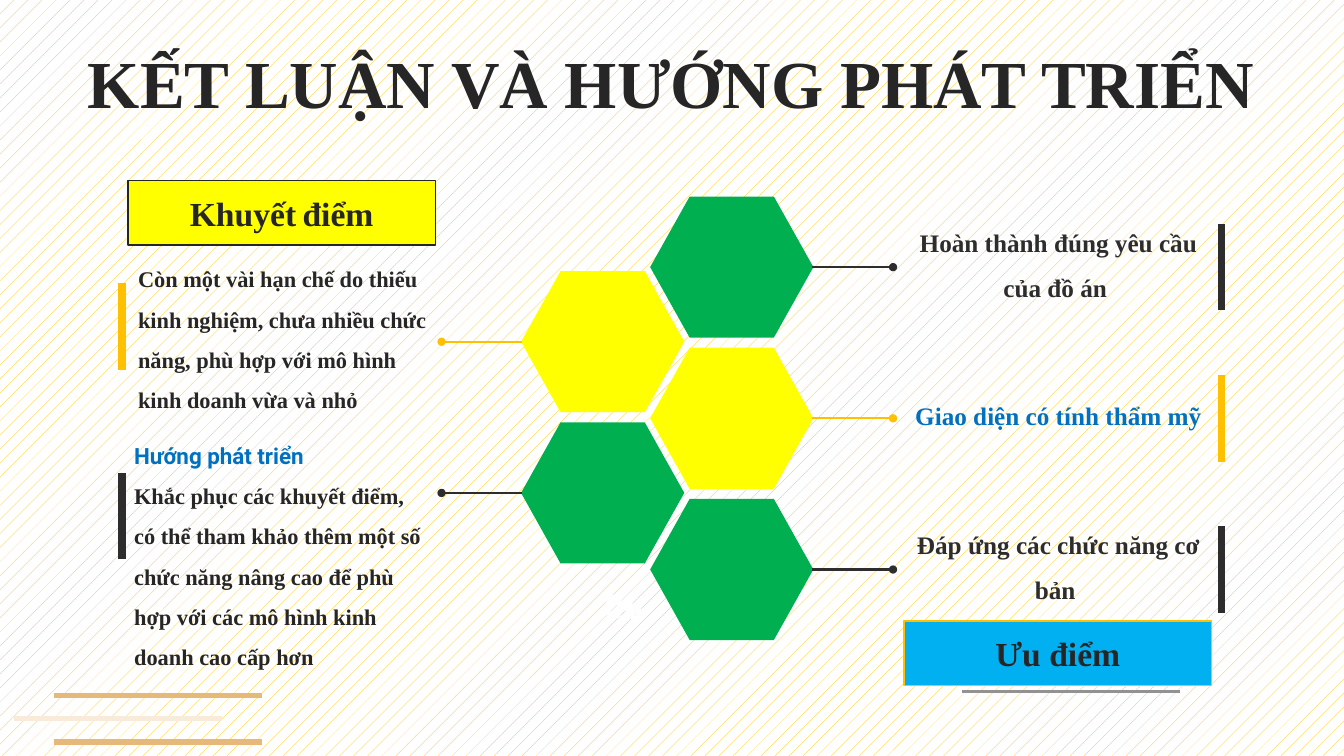
from lxml.etree import SubElement
from pptx import Presentation
from pptx.dml.color import RGBColor
from pptx.enum.dml import MSO_PATTERN
from pptx.enum.shapes import MSO_CONNECTOR, MSO_SHAPE
from pptx.enum.text import MSO_ANCHOR, PP_ALIGN
from pptx.oxml.ns import qn
from pptx.util import Pt

COLOURS = {
    "amber": "FFC000", "white": "FFFFFF", "ink": "262626", "charcoal": "2D2D2D",
    "yellow": "FFFF00", "green": "00B050", "blue": "0070C0", "sky": "00B0F0",
    "grey": "929292", "silver": "A6A6A6", "tan": "E6B87A", "cream": "F8EBDA",
}
SERIF = "Times New Roman"
SANS = "Roboto"
STEP = 108
HEXAGON_WIDTH, HEXAGON_HEIGHT = 116.6, 100.8
LEFT_COLUMN, RIGHT_COLUMN = 372.2, 464.4
LEFT_CENTRE, RIGHT_CENTRE = 244.1, 190.8
BAR_LENGTH = 62


def colour(name):
    return RGBColor.from_string(COLOURS[name])


def style(font, size, name, tint):
    font.size = Pt(size)
    font.name = name
    font.bold = True
    font.color.rgb = colour(tint)


def add_box(page, left, top, width, height, align=PP_ALIGN.LEFT):
    box = page.shapes.add_textbox(Pt(left), Pt(top), Pt(width), Pt(height))
    frame = box.text_frame
    frame.word_wrap = True
    frame.vertical_anchor = MSO_ANCHOR.MIDDLE
    frame.margin_left = frame.margin_right = frame.margin_top = frame.margin_bottom = 0
    para = frame.paragraphs[0]
    para.alignment = align
    return para


def add_label(page, place, text, size, name, tint):
    para = add_box(page, *place, PP_ALIGN.CENTER)
    style(para.font, size, name, tint)
    para.add_run().text = text
    return para


def add_span(para, text, size, name, tint):
    span = para.add_run()
    span.text = text
    style(span.font, size, name, tint)


def add_note(page, place, heading, heading_size, heading_tint, body):
    para = add_box(page, *place)
    para.line_spacing = 1.5
    para.space_after = Pt(12)
    if heading:
        add_span(para, heading, heading_size, SANS, heading_tint)
    else:
        style(para.font, heading_size, SANS, heading_tint)
    para.add_line_break()
    add_span(para, body, 16, SERIF, "ink")


def add_advantage(page, centre, height, text, tint):
    para = add_box(page, 650.9, centre - height / 2, 210.2, height, PP_ALIGN.CENTER)
    para.line_spacing = 1.5
    para.space_after = Pt(12)
    style(para.font, 12, SERIF, tint)
    add_span(para, text, 18, SERIF, tint)
    para.add_line_break()


def add_line(page, start, end, tint, weight, dot=False):
    line = page.shapes.add_connector(
        MSO_CONNECTOR.STRAIGHT, *(Pt(value) for value in (*start, *end)))
    line.line.color.rgb = colour(tint)
    line.line.width = Pt(weight)
    if dot:
        SubElement(line.line._get_or_add_ln(), qn("a:tailEnd"), type="oval")
    SubElement(line._element.spPr, qn("a:effectLst"))


def add_bar(page, x, centre, tint):
    add_line(page, (x, centre + BAR_LENGTH / 2), (x, centre - BAR_LENGTH / 2), tint, 5.5)


def add_hexagon(page, left, centre, tint):
    hexagon = page.shapes.add_shape(
        MSO_SHAPE.HEXAGON, Pt(left), Pt(centre - HEXAGON_HEIGHT / 2),
        Pt(HEXAGON_WIDTH), Pt(HEXAGON_HEIGHT))
    hexagon.adjustments[0] = 0.28
    hexagon.shadow.inherit = False
    hexagon.fill.solid()
    hexagon.fill.fore_color.rgb = colour(tint)
    hexagon.line.fill.background()


def add_banner(page, left, top, fill, outline, spans):
    banner = page.shapes.add_shape(
        MSO_SHAPE.FLOWCHART_PROCESS, Pt(left), Pt(top), Pt(219.6), Pt(46))
    banner.shadow.inherit = False
    banner.fill.solid()
    banner.fill.fore_color.rgb = colour(fill)
    banner.line.color.rgb = colour(outline)
    banner.line.width = Pt(1)
    banner.text_frame.vertical_anchor = MSO_ANCHOR.MIDDLE
    para = banner.text_frame.paragraphs[0]
    para.alignment = PP_ALIGN.CENTER
    for text, size in spans:
        add_span(para, text, size, SERIF, "ink")


def add_stripes(page, top):
    for row, (left, tint) in enumerate([(38.9, "tan"), (10.1, "cream"), (38.9, "tan")]):
        y = top + row * 16.6
        add_line(page, (left + 148.3, y), (left, y), tint, 2.25)


def main():
    deck = Presentation()
    deck.slide_width, deck.slide_height = Pt(960), Pt(540)
    page = deck.slides.add_slide(deck.slide_layouts[6])
    backdrop = page.background.fill
    backdrop.patterned()
    backdrop.pattern = MSO_PATTERN.PERCENT_5
    backdrop.fore_color.rgb = colour("amber")
    backdrop.back_color.rgb = colour("white")

    title = add_label(page, (40.3, 36, 878.4, 51.8),
                      "KẾT LUẬN VÀ HƯỚNG PHÁT TRIỂN", 48, SERIF, "ink")
    title.line_spacing = 0.9

    advantages = [
        ("green", "charcoal", "charcoal", 85.7, "Hoàn thành đúng yêu cầu của đồ án "),
        ("yellow", "amber", "blue", 52.6, "Giao diện có tính thẩm mỹ"),
        ("green", "charcoal", "charcoal", 85.7, "Đáp ứng các chức năng cơ bản "),
    ]
    for row, (fill, accent, tint, height, text) in enumerate(advantages):
        centre = RIGHT_CENTRE + row * STEP
        add_hexagon(page, RIGHT_COLUMN, centre, fill)
        add_line(page, (580.3, centre), (637.9, centre), accent, 1.5, dot=True)
        add_bar(page, 872.6, centre, accent)
        add_advantage(page, centre, height, text, tint)

    drawbacks = [("yellow", "amber", 233.3), ("green", "charcoal", 368.6)]
    for row, (fill, accent, bar_centre) in enumerate(drawbacks):
        centre = LEFT_CENTRE + row * STEP
        add_hexagon(page, LEFT_COLUMN, centre, fill)
        add_line(page, (373, centre), (315.4, centre), accent, 1.5, dot=True)
        add_bar(page, 87.1, bar_centre, accent)

    add_note(page, (98.6, 154.1, 210.2, 141.8), "", 14, "silver",
             "Còn một vài hạn chế do thiếu kinh nghiệm, chưa nhiều chức năng, "
             "phù hợp với mô hình kinh doanh vừa và nhỏ")
    add_note(page, (95.8, 305.3, 210.2, 174.2), "Hướng phát triển ", 16, "blue",
             "Khắc phục các khuyết điểm, có thể tham khảo thêm một số chức năng "
             "nâng cao để phù hợp với các mô hình kinh doanh cao cấp hơn")
    add_label(page, (426.2, 415.4, 38.2, 34.6), "06", 24, SANS, "white")

    add_banner(page, 645.8, 443.5, "sky", "amber", [("Ưu điểm", 24)])
    add_line(page, (843.1, 493.9), (686.9, 493.9), "grey", 1.75)
    for top in (496.1, 497.5):
        add_stripes(page, top)
    add_banner(page, 91.4, 128.9, "yellow", "ink",
               [("Khuyết", 24), (" ", 18), ("điểm", 24)])
    deck.save("out.pptx")


if __name__ == "__main__":
    main()
